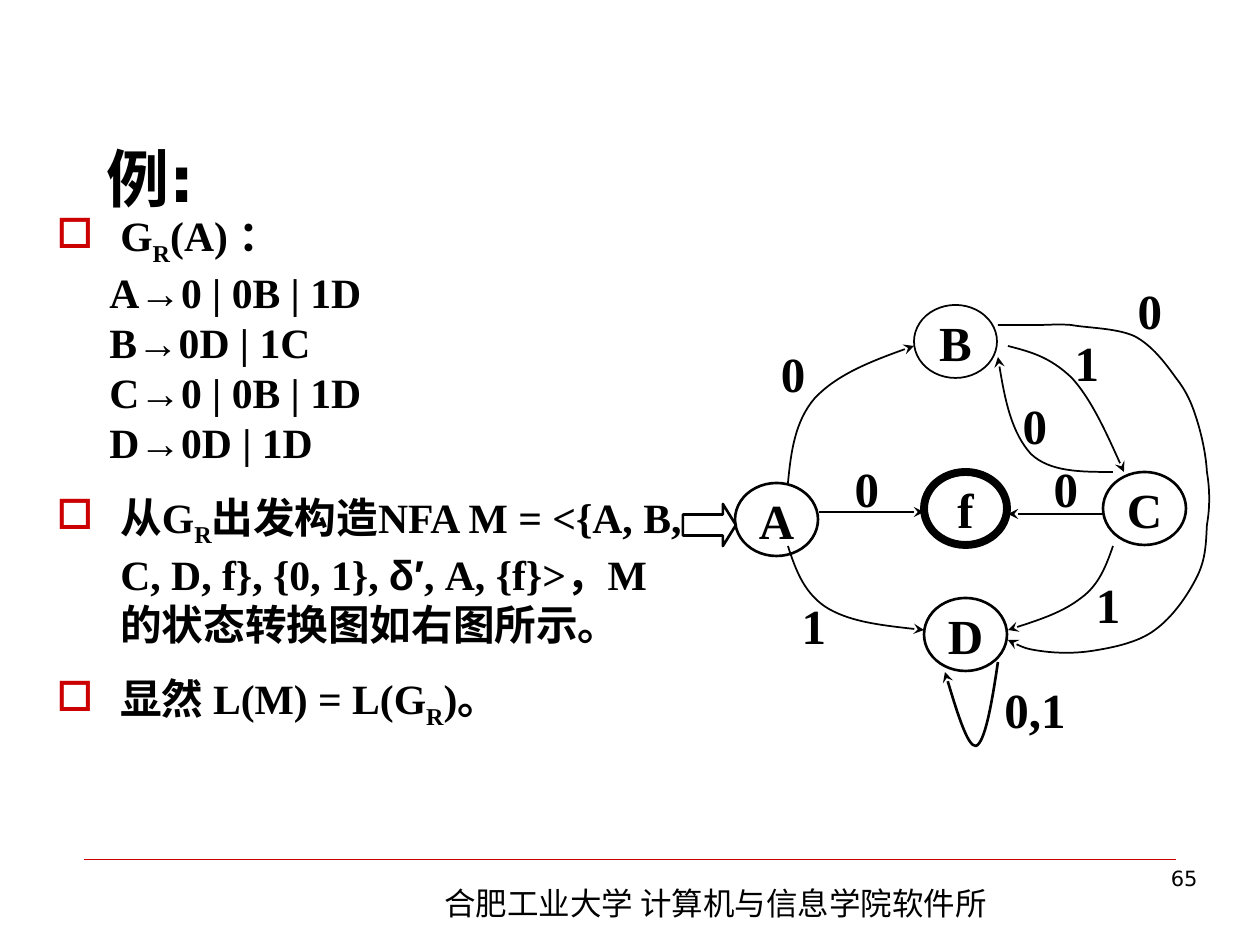
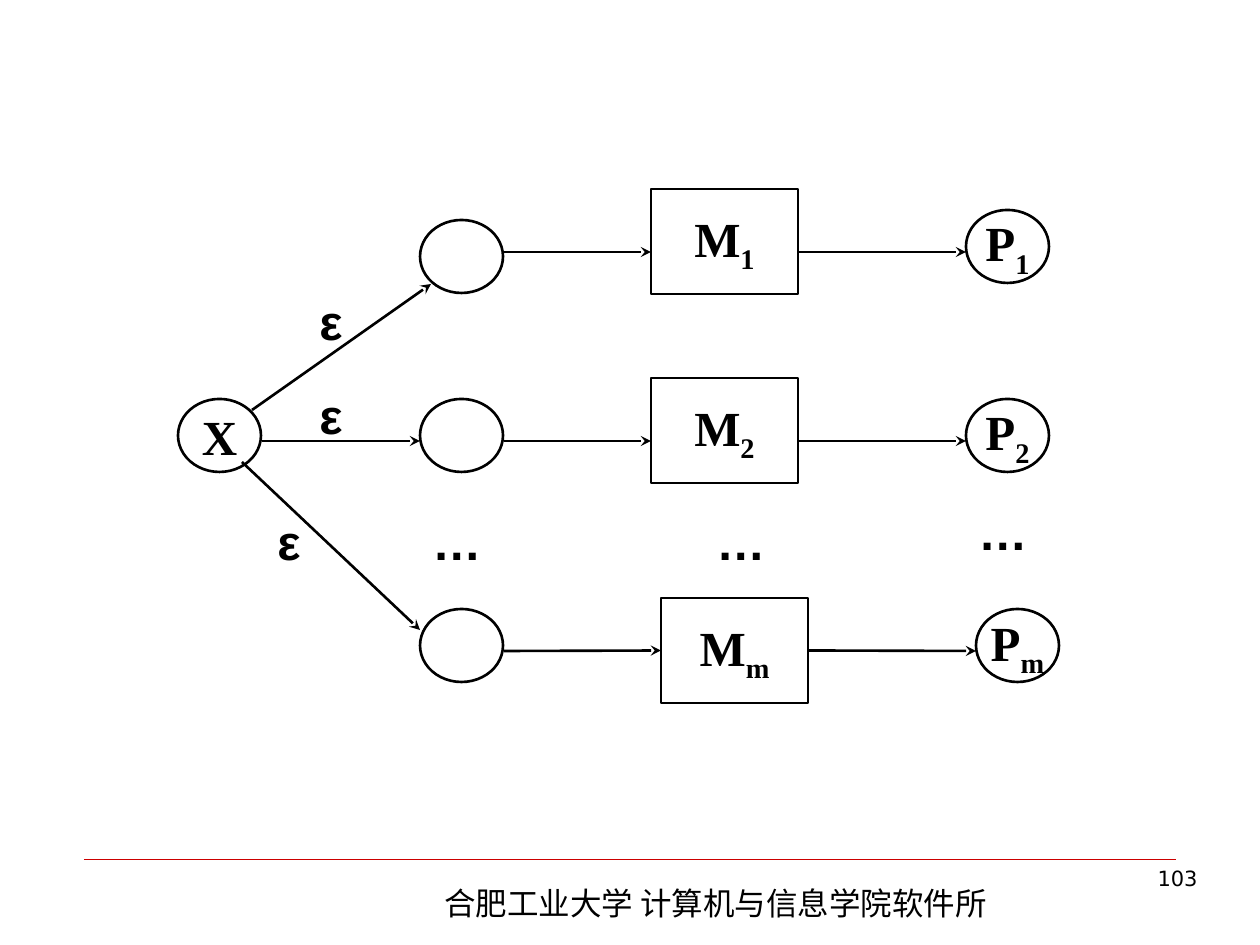
from lxml import etree
from pptx import Presentation
from pptx.dml.color import RGBColor
from pptx.enum.shapes import MSO_CONNECTOR, MSO_SHAPE
from pptx.enum.text import MSO_ANCHOR, PP_ALIGN
from pptx.oxml.ns import qn
from pptx.util import Emu, Pt

PX = 914400 / 126
BLACK = RGBColor(0x00, 0x00, 0x00)
RED = RGBColor(0xCC, 0x00, 0x00)
SERIF, SANS, CJK, PLAIN = "Times New Roman", "Arial", "Noto Sans CJK SC", "DejaVu Sans"
LEFT, CENTER, RIGHT = PP_ALIGN.LEFT, PP_ALIGN.CENTER, PP_ALIGN.RIGHT
TOP, MIDDLE, BOTTOM = MSO_ANCHOR.TOP, MSO_ANCHOR.MIDDLE, MSO_ANCHOR.BOTTOM
OVAL, RECT, ARROW = MSO_SHAPE.OVAL, MSO_SHAPE.RECTANGLE, MSO_SHAPE.RIGHT_ARROW
STRAIGHT = MSO_CONNECTOR.STRAIGHT
LEFT_SIDE, RIGHT_SIDE = 1, 3
FOOTER = "合肥工业大学 计算机与信息学院软件所"
STATE_SIZE = (83, 73)
LABEL_SIZE = (116, 73)
MACHINE_SIZE = (147, 105)


def px(length):
    return Emu(round(length * PX))


class Painter:
    def __init__(self):
        self.deck = Presentation()
        self.deck.slide_width, self.deck.slide_height = px(1260), px(945)
        self.page = None

    def new_page(self, number):
        self.page = self.deck.slides.add_slide(self.deck.slide_layouts[6])
        self.link((84, 859), (1176, 859), 0.25, RED, head=False)
        self.text((432, 878, 595, 50), FOOTER, 18, CJK, bold=False)
        self.text((937, 859, 273, 66), number, 12, PLAIN, align=RIGHT, bold=False)

    def add_spans(self, para, spans, size, font, bold=True):
        for text, subscript, typeface in spans:
            span = para.add_run()
            span.text = text
            span.font.size = Pt(size)
            span.font.bold = bold
            span.font.name = typeface or font
            span.font.color.rgb = BLACK
            properties = span.font._element
            etree.SubElement(properties, qn("a:ea")).set("typeface", CJK)
            if subscript:
                properties.set("baseline", "-25000")

    def text(self, place, text, size, font, align=LEFT, anchor=TOP, bold=True, wrap=True):
        box = self.page.shapes.add_textbox(*map(px, place))
        frame = box.text_frame
        frame.word_wrap = wrap
        frame.vertical_anchor = anchor
        para = frame.paragraphs[0]
        para.alignment = align
        if text:
            self.add_spans(para, [(text, False, None)], size, font, bold)
        return frame

    def label(self, x, y, text, font=SERIF):
        self.text((x, y, *LABEL_SIZE), text, 28, font, CENTER, MIDDLE, wrap=False)

    def outline(self, shape, width, color=BLACK, head=False):
        shape.line.color.rgb = color
        shape.line.width = Pt(width)
        if head:
            etree.SubElement(shape.line._get_or_add_ln(), qn("a:tailEnd")).set("type", "stealth")

    def shape(self, kind, place, name="", subscript="", width=1.5):
        shape = self.page.shapes.add_shape(kind, *map(px, place))
        shape.shadow.inherit = False
        shape.fill.background()
        self.outline(shape, width)
        if name:
            frame = shape.text_frame
            frame.word_wrap = False
            frame.vertical_anchor = MIDDLE
            para = frame.paragraphs[0]
            para.alignment = CENTER
            spans = [(name, False, None)]
            if subscript:
                spans.append((subscript, True, None))
            self.add_spans(para, spans, 28, SERIF)
        return shape

    def state(self, x, y, name="", subscript="", width=1.5):
        return self.shape(OVAL, (x, y, *STATE_SIZE), name, subscript, width)

    def link(self, start, end, width=1.5, color=BLACK, head=True):
        line = self.page.shapes.add_connector(STRAIGHT, *map(px, (*start, *end)))
        self.outline(line, width, color, head)
        etree.SubElement(line._element.spPr, qn("a:effectLst"))
        return line

    def curve(self, points, width=1):
        builder = self.page.shapes.build_freeform(*points[0], scale=PX)
        builder.add_line_segments(points[1:], close=False)
        shape = builder.convert_to_shape()
        shape.shadow.inherit = False
        shape.fill.background()
        self.outline(shape, width, head=True)
        outline = next(shape._element.iter(qn("a:path")))
        for index, segment in enumerate(outline.findall(qn("a:lnTo"))):
            if index % 3 == 0:
                bezier = etree.SubElement(outline, qn("a:cubicBezTo"))
            bezier.append(segment[0])
            outline.remove(segment)

    def body(self, place, entries, size):
        frame = self.text(place, "", size, SERIF)
        for index, (bulleted, spans) in enumerate(entries):
            para = frame.add_paragraph() if index else frame.paragraphs[0]
            properties = para._p.get_or_add_pPr()
            margin, indent = (64, -64) if bulleted else (113, -60)
            properties.set("marL", str(px(margin)))
            properties.set("indent", str(px(indent)))
            if bulleted:
                if index:
                    para.space_before = Pt(14)
                color = etree.SubElement(properties, qn("a:buClr"))
                etree.SubElement(color, qn("a:srgbClr")).set("val", str(RED))
                etree.SubElement(properties, qn("a:buChar")).set("char", "□")
            else:
                etree.SubElement(properties, qn("a:buNone"))
            self.add_spans(para, spans, size, SERIF)


def grammar_page(painter):
    painter.new_page("65")
    painter.text((94, 63, 1134, 158), "例:", 36, PLAIN, anchor=BOTTOM)
    sub_r = ("R", True, None)
    rules = ("A→0 | 0B | 1D", "B→0D | 1C", "C→0 | 0B | 1D", "D→0D | 1D")
    entries = [(True, [("G", False, None), sub_r, ("(A) ：", False, None)])]
    entries += [(False, [(rule, False, None)]) for rule in rules]
    entries += [
        (True, [("从G", False, None), sub_r,
                ("出发构造NFA M = <{A, B, C, D, f}, {0, 1}, ", False, None),
                ("δ′", False, SANS),
                (", A, {f}>，M的状态转换图如右图所示。", False, None)]),
        (True, [("显然 L(M) = L(G", False, None), sub_r, (")。", False, None)]),
    ]
    painter.body((44, 204, 651, 598), entries, 23.8)

    for name, x, y, width in (("A", 735, 483, 1.5), ("B", 914, 305, 1), ("C", 1103, 472, 1.5),
                              ("D", 924, 598, 1.5), ("f", 924, 472, 4.5)):
        painter.state(x, y, name, width=width)
    painter.shape(ARROW, (683, 504, 53, 42)).adjustments[1] = 0.31

    loop_d = [(998, 662), (992, 703), (985, 743), (976, 746), (968, 747), (956, 709), (945, 672)]
    a_to_b = [(788, 483), (791, 452), (795, 421), (815, 398), (837, 375), (874, 360), (914, 346)]
    a_to_d = [(788, 546), (796, 571), (805, 595), (829, 609), (852, 622), (887, 626), (924, 630)]
    c_to_b = [(1113, 472), (1081, 472), (1050, 472), (1031, 454), (1012, 433), (1004, 396), (998, 357)]
    b_to_c = [(1008, 346), (1031, 352), (1050, 357), (1072, 378), (1091, 399), (1108, 436), (1124, 472)]
    c_to_d = [(1113, 546), (1106, 566), (1099, 585), (1081, 598), (1063, 612), (1036, 621), (1008, 630)]
    b_to_d = [(998, 325), (1012, 325), (1027, 325), (1040, 325), (1052, 325), (1055, 324), (1071, 325),
              (1086, 328), (1116, 328), (1134, 336), (1152, 345), (1166, 364), (1176, 378),
              (1187, 392), (1192, 404), (1197, 420), (1202, 436), (1206, 455), (1207, 472),
              (1210, 490), (1210, 508), (1207, 525), (1206, 543), (1206, 559), (1197, 577),
              (1188, 595), (1173, 617), (1155, 630), (1138, 643), (1111, 648), (1092, 651),
              (1072, 654), (1054, 653), (1040, 651), (1026, 649), (1017, 645), (1008, 640)]
    painter.curve(loop_d, 1.5)
    for points in (a_to_b, a_to_d, c_to_b, b_to_c, c_to_d, b_to_d):
        painter.curve(points)
    painter.link((819, 512), (924, 512), 1)
    painter.link((1103, 514), (1008, 514), 1)

    for text, x, y in (("1", 1029, 325), ("0", 735, 336), ("0,1", 977, 672), ("1", 756, 588),
                       ("1", 1050, 567), ("0", 977, 388), ("0", 1092, 273), ("0", 809, 451),
                       ("0", 1008, 451)):
        painter.label(x, y, text)


def union_page(painter):
    painter.new_page("103")
    painter.state(178, 399, "X")
    rows = (("1", 0, 220, 189, 210, 252), ("2", 0, 399, 378, 399, 441), ("m", 10, 609, 598, 609, 651))
    for index, shift, circle_y, machine_y, final_y, link_y in rows:
        painter.state(420, circle_y)
        machine_x = 651 + shift
        machine = painter.shape(RECT, (machine_x, machine_y, *MACHINE_SIZE), "M", index)
        painter.state(966 + shift, final_y, "P", index)
        entry = painter.link((504, link_y), (machine_x, link_y))
        leave = painter.link((machine_x + MACHINE_SIZE[0], link_y), (966 + shift, link_y))
        if abs(machine_y + MACHINE_SIZE[1] / 2 - link_y) < 1:
            entry.end_connect(machine, LEFT_SIDE)
            leave.begin_connect(machine, RIGHT_SIDE)
    for start, end in (((252, 410), (431, 284)), ((262, 441), (420, 441)), ((242, 462), (420, 630))):
        painter.link(start, end)
    for x, y in ((273, 284), (273, 378), (231, 504)):
        painter.label(x, y, "ε", SANS)
    for x, y in ((399, 504), (683, 504), (945, 494)):
        painter.label(x, y, "…", SANS)


def main():
    painter = Painter()
    grammar_page(painter)
    union_page(painter)
    painter.deck.save("out.pptx")


if __name__ == "__main__":
    main()
